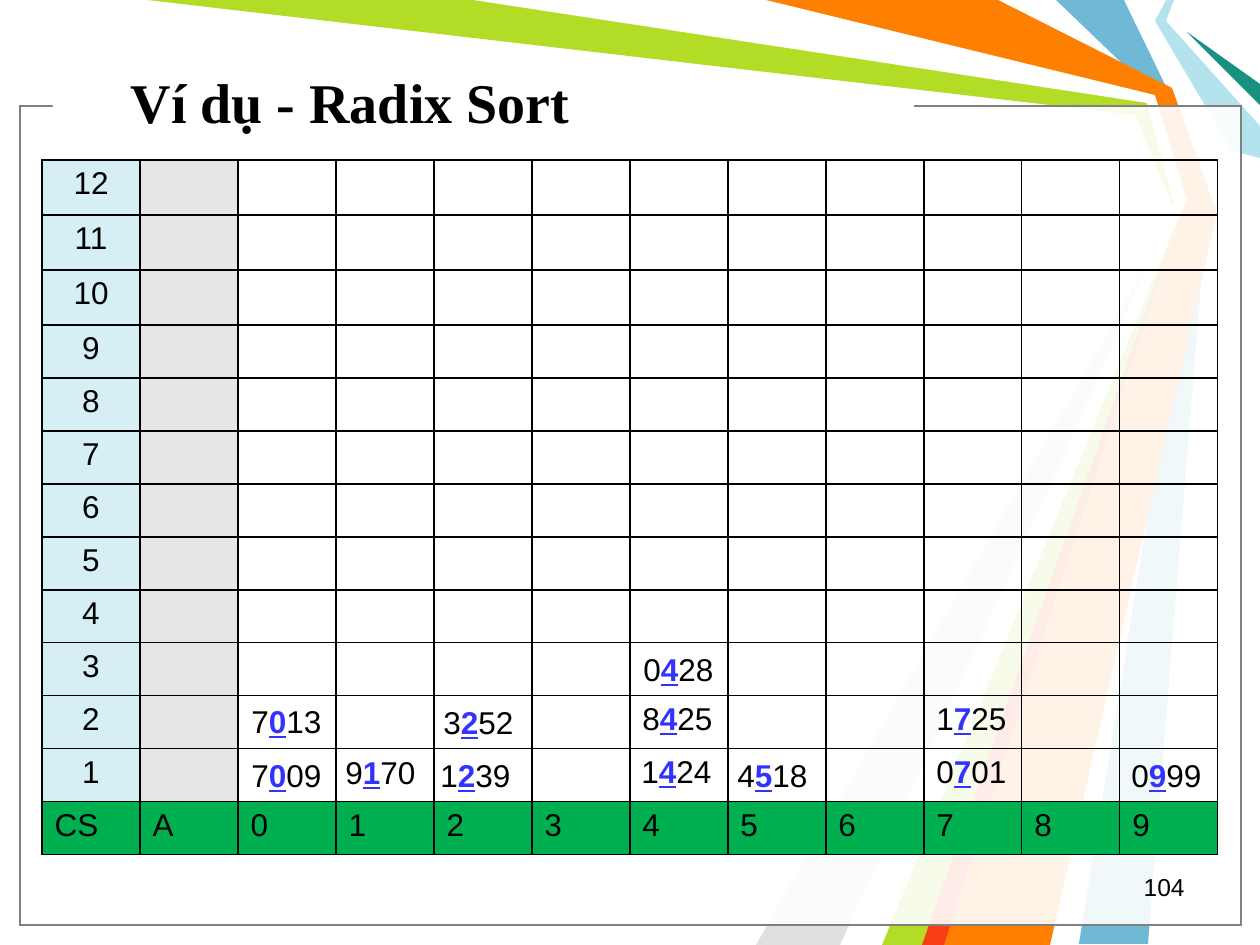
from lxml.etree import SubElement
from pptx import Presentation
from pptx.dml.color import RGBColor
from pptx.enum.shapes import MSO_SHAPE
from pptx.enum.text import MSO_ANCHOR, MSO_AUTO_SIZE, PP_ALIGN
from pptx.oxml import parse_xml
from pptx.oxml.ns import nsdecls, qn
from pptx.util import Pt

PX = 914400 / 126
HEX = {
    "black": "000000", "white": "FFFFFF", "gray": "808080", "blue": "6FB9D7",
    "lime": "B3DC27", "mist": "E0E0E0", "pale": "B4E3EE", "teal": "189180",
    "orange": "FF7F00", "red": "F93D17", "sky": "D6EFF5", "ash": "E6E6E6",
    "green": "00B050", "mark": "3333FF",
}
RAYS = [
    ("blue", [(1124, 0), (1171, 97), (1207, 210), (1148, 944), (1079, 944),
              (1197, 210), (1155, 95), (1056, 0)]),
    ("lime", [(147, 0), (483, 0), (1152, 98), (1187, 213), (935, 945),
              (872, 945), (1178, 218), (1135, 115)]),
    ("mist", [(840, 945), (1168, 228), (756, 945)]),
    ("white", [(473, 0), (1147, 103), (1174, 204), (851, 945), (882, 945),
               (1186, 199), (1155, 95), (756, 0)]),
    ("pale", [(1166, 0), (1155, 21), (1232, 151), (1260, 158), (1260, 126),
              (1166, 21), (1174, 0)]),
    ("teal", [(1260, 105), (1187, 32), (1260, 84)]),
    ("orange", [(766, 0), (998, 0), (1172, 88), (1217, 213), (1050, 945),
                (924, 945), (1187, 199), (1155, 95)]),
    ("red", [(922, 945), (1174, 231), (944, 945)]),
]
HEADS = ["CS", "A", *map(str, range(10))]
ROWS = [55] * 3 + [53] * 10
COL = 98
KEYS = [
    ("0999", 1119, 750), ("7009", 239, 750), ("1239", 428, 750),
    ("4518", 725, 750), ("0428", 631, 644), ("1725", 924, 693),
    ("8425", 630, 693), ("1424", 629, 746), ("7013", 239, 696),
    ("3252", 431, 697), ("0701", 924, 746), ("9170", 333, 747),
]


def emu(*nums):
    return [round(n * PX) for n in nums]


def color(name):
    return RGBColor.from_string(HEX[name])


def style(font, size, face="Arial", hue="black", bold=False):
    font.size, font.name, font.bold = Pt(size), face, bold
    font.color.rgb = color(hue)


def paint(shape, hue):
    shape.shadow.inherit = False
    shape.fill.solid()
    shape.fill.fore_color.rgb = color(hue)
    shape.line.fill.background()


def add_ray(slide, hue, points):
    pen = slide.shapes.build_freeform(*points[0], scale=PX)
    pen.add_line_segments(points[1:], close=True)
    paint(pen.convert_to_shape(), hue)


def add_pane(slide, box, edge=None):
    pane = slide.shapes.add_shape(MSO_SHAPE.RECTANGLE, *emu(*box))
    paint(pane, "white")
    if edge:
        tint = pane.fill._xPr.find(".//" + qn("a:srgbClr"))
        SubElement(tint, qn("a:alpha"), val="69000")
        pane.line.color.rgb = color(edge)
        pane.line.width = Pt(0.75)


def add_title(slide, text, box):
    title = slide.shapes.title
    title.left, title.top, title.width, title.height = emu(*box)
    title._element.getparent().append(title._element)
    frame = title.text_frame
    frame.text = text
    frame.vertical_anchor = MSO_ANCHOR.MIDDLE
    frame.auto_size = MSO_AUTO_SIZE.NONE
    para = frame.paragraphs[0]
    para.alignment = PP_ALIGN.LEFT
    style(para.font, 32, "Times New Roman", bold=True)


def add_page(slide, text, box):
    frame = slide.shapes.add_textbox(*emu(*box)).text_frame
    frame.word_wrap = True
    frame.text = text
    para = frame.paragraphs[0]
    para.alignment = PP_ALIGN.RIGHT
    style(para.font, 14)


def add_key(slide, text, left, top):
    frame = slide.shapes.add_textbox(*emu(left, top, 96, 50)).text_frame
    frame.word_wrap = False
    frame.auto_size = MSO_AUTO_SIZE.SHAPE_TO_FIT_TEXT
    para = frame.paragraphs[0]
    for part, hot in ((text[0], False), (text[1], True), (text[2:], False)):
        run = para.add_run()
        run.text = part
        style(run.font, 18, hue="mark" if hot else "black", bold=hot)
        run.font.underline = hot


def fill_cell(cell, text, hue, align):
    cell.text = text
    para = cell.text_frame.paragraphs[0]
    para.alignment = align
    style(para.font, 18)
    props = cell._tc.get_or_add_tcPr()
    for side in ("lnL", "lnR", "lnT", "lnB"):
        props.append(parse_xml(
            f'<a:{side} {nsdecls("a")} w="12700"><a:solidFill>'
            f'<a:srgbClr val="{HEX["black"]}"/></a:solidFill></a:{side}>'))
    if hue:
        cell.fill.solid()
        cell.fill.fore_color.rgb = color(hue)
    else:
        cell.fill.background()


def add_grid(slide, left, top):
    last = len(ROWS) - 1
    size = emu(left, top, COL * len(HEADS), sum(ROWS))
    table = slide.shapes.add_table(len(ROWS), len(HEADS), *size).table
    table.first_row = table.horz_banding = False
    for col in table.columns:
        col.width = emu(COL)[0]
    for r, high in enumerate(ROWS):
        table.rows[r].height = emu(high)[0]
        for c, head in enumerate(HEADS):
            if r == last:
                look = head, "green", PP_ALIGN.LEFT
            elif c == 0:
                look = str(last - r), "sky", PP_ALIGN.CENTER
            else:
                look = "", "ash" if c == 1 else None, PP_ALIGN.LEFT
            fill_cell(table.cell(r, c), *look)


def main():
    deck = Presentation()
    deck.slide_width, deck.slide_height = emu(1260, 945)
    slide = deck.slides.add_slide(deck.slide_layouts[5])
    for hue, points in RAYS:
        add_ray(slide, hue, points)
    for edge in ("black", "gray"):
        add_pane(slide, (20, 106, 1221, 819), edge)
    add_pane(slide, (53, 93, 861, 21))
    add_title(slide, "Ví dụ - Radix Sort", (118, 67, 868, 69))
    add_page(slide, "104", (903, 866, 294, 42))
    add_grid(slide, 42, 160)
    for key in KEYS:
        add_key(slide, *key)
    deck.save("out.pptx")


if __name__ == "__main__":
    main()
